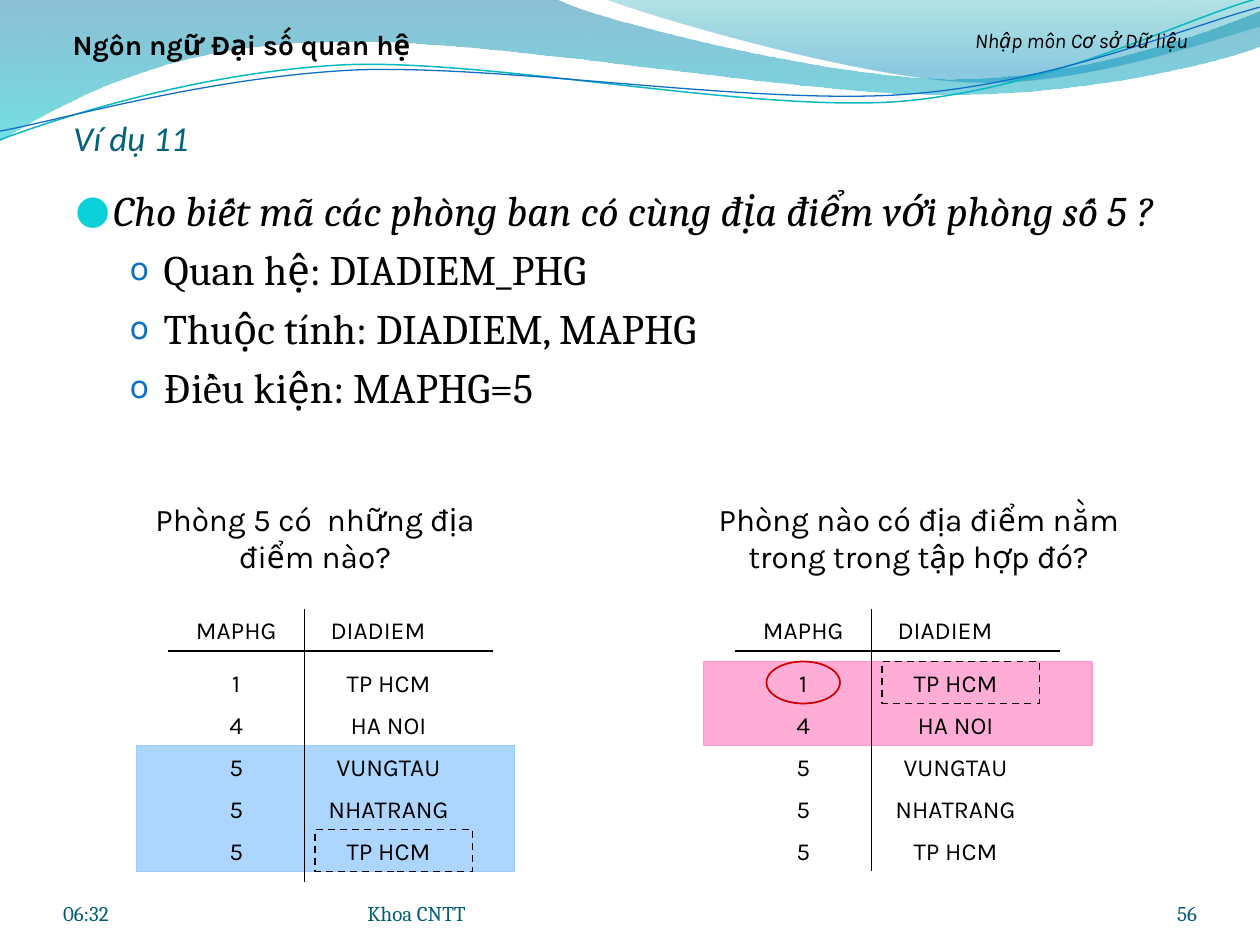
from lxml import etree
from pptx import Presentation
from pptx import util as u
from pptx.dml import color as dml
from pptx.enum import dml as lines, shapes, text
from pptx.oxml import ns

COLORS = {
    "ink": "000000", "title": "04617B", "footer": "045D75",
    "teal": "0BD0D9", "blue": "0F6FC6", "wave_line": "0AB8BF",
    "deep": "0074A1", "aqua": "00C6CF", "sea": "00A1A9", "sky": "008BBF",
    "pink": "FF99CC", "pale_blue": "99CCFF", "red": "CC0000",
}
HEADERS = ("MAPHG", "DIADIEM")
LOCATIONS = [("1", "TP HCM"), ("4", "HA NOI"), ("5", "VUNGTAU"),
             ("5", "NHATRANG"), ("5", "TP HCM")]
ROW = 24
HEAD_TOP, BODY_TOP = 348, 378
CODE_WIDTH, HEADER_WIDTH, PLACE_WIDTH = 78, 84, 96

BACK_WAVE = [(0, -1), (317, -1), (343, 12, 478, 45, 546, 45),
             (614, 45, 690, 19, 720, 6), (721, 26),
             (708, 32, 626, 55, 537, 54), (448, 54, 275, 20, 185, 24),
             (93, 25, 33, 60, -1, 81)]
FRONT_WAVE = [(345, -1), (367, 8, 491, 45, 554, 47),
              (616, 50, 692, 23, 720, 15), (720, 0)]
UPPER_CURVE = [(-1.8, 63), (33.8, 51.7, 114, 29.4, 199, 29.4),
               (284, 30.5, 426, 67.2, 512, 65.3), (599.5, 62.4, 676.4, 25.9, 721, 16)]
LOWER_CURVE = [(-1.5, 58), (32.7, 53.6, 118, 32.6, 204, 32.6),
               (290, 33.7, 429, 63.3, 515.5, 61.4), (601.7, 59.4, 679.3, 30, 721.8, 21)]


def rgb(name):
    return dml.RGBColor.from_string(COLORS[name])


def add_child(parent, tag, **attributes):
    return etree.SubElement(parent, ns.qn(tag), attributes)


def set_opacity(shape, percents):
    for hue, percent in zip(shape.element.spPr.iter(ns.qn("a:srgbClr")), percents):
        add_child(hue, "a:alpha", val=str(percent * 1000))


def style_line(line, color, width=1):
    line.color.rgb = rgb(color)
    line.width = u.Pt(width)


def bend(outline, steps):
    segments = iter(list(outline.element.spPr.iter(ns.qn("a:lnTo"))))
    for step in steps[1:]:
        first = next(segments)
        if len(step) == 2:
            continue
        first.tag
        curve = etree.Element(ns.qn("a:cubicBezTo"))
        first.addprevious(curve)
        for segment in (first, next(segments), next(segments)):
            curve.append(segment[0])
            segment.getparent().remove(segment)


def add_outline(slide, steps, close):
    points = [(u.Pt(x), u.Pt(y)) for step in steps
              for x, y in zip(step[::2], step[1::2])]
    builder = slide.shapes.build_freeform(*points[0])
    builder.add_line_segments(points[1:], close=close)
    outline = builder.convert_to_shape()
    bend(outline, steps)
    outline.shadow.inherit = False
    return outline


def add_wave(slide, steps, stops):
    wave = add_outline(slide, steps, True)
    wave.line.fill.background()
    wave.fill.gradient()
    wave.fill.gradient_angle = 270
    for stop, (position, color, _) in zip(wave.fill.gradient_stops, stops):
        stop.position = position
        stop.color.rgb = rgb(color)
    set_opacity(wave, [percent for _, _, percent in stops])


def add_curve(slide, steps, color, width):
    curve = add_outline(slide, steps, False)
    curve.rotation = 357.3
    curve.fill.background()
    style_line(curve.line, color, width)


def format_run(run, size, name="Karla", color="ink", bold=False, italic=False):
    formats = {"size": u.Pt(size), "name": name, "bold": bold, "italic": italic}
    for attribute, value in formats.items():
        setattr(run.font, attribute, value)
    run.font.color.rgb = rgb(color)


def add_frame(slide, box, anchor=text.MSO_ANCHOR.TOP, margins=(7.2, 3.6, 7.2, 3.6)):
    frame = slide.shapes.add_textbox(*map(u.Pt, box)).text_frame
    left, top, right, bottom = map(u.Pt, margins)
    formats = {"word_wrap": True, "vertical_anchor": anchor, "margin_left": left,
               "margin_top": top, "margin_right": right, "margin_bottom": bottom}
    for attribute, value in formats.items():
        setattr(frame, attribute, value)
    return frame


def add_label(slide, words, box, size, align=text.PP_ALIGN.CENTER, frame_format=None, **font):
    paragraph = add_frame(slide, box, **(frame_format or {})).paragraphs[0]
    paragraph.alignment = align
    run = paragraph.add_run()
    run.text = words
    format_run(run, size, **font)


def add_bullet(paragraph, words, level):
    indent, hanging, mark, color, scale = [
        (21.6, 21.6, "●", "teal", 95), (50.4, 19.44, "o", "blue", 85)][level]
    paragraph.level = level
    paragraph.space_before = u.Pt(4.8)
    run = paragraph.add_run()
    run.text = words
    format_run(run, 24, name="Cambria", italic=level == 0)
    properties = paragraph._p.get_or_add_pPr()
    properties.set("marL", str(u.Pt(indent)))
    properties.set("indent", str(-u.Pt(hanging)))
    add_child(add_child(properties, "a:buClr"), "a:srgbClr", val=COLORS[color])
    add_child(properties, "a:buSzPct", val=str(scale * 1000))
    add_child(properties, "a:buFont", typeface="Karla")
    add_child(properties, "a:buChar", char=mark)


def add_rule(slide, *ends):
    rule = slide.shapes.add_connector(shapes.MSO_CONNECTOR.STRAIGHT, *map(u.Pt, ends))
    style_line(rule.line, "ink")
    add_child(rule.element.spPr, "a:effectLst")


def add_band(slide, box, color):
    band = slide.shapes.add_shape(shapes.MSO_SHAPE.RECTANGLE, *map(u.Pt, box))
    band.shadow.inherit = False
    band.fill.solid()
    band.fill.fore_color.rgb = rgb(color)
    set_opacity(band, [80])
    style_line(band.line, color)


def add_marker(slide, kind, box, color, dash=None):
    marker = slide.shapes.add_shape(kind, *map(u.Pt, box))
    marker.shadow.inherit = False
    marker.fill.background()
    style_line(marker.line, color)
    marker.line.dash_style = dash


def add_relation(slide, left, bottom):
    middle = left + CODE_WIDTH
    add_rule(slide, left, HEAD_TOP + ROW, left + 186, HEAD_TOP + ROW)
    add_rule(slide, middle, HEAD_TOP, middle, bottom)
    rows = [(HEAD_TOP, HEADERS, HEADER_WIDTH)]
    rows += [(BODY_TOP + i * ROW, location, PLACE_WIDTH)
             for i, location in enumerate(LOCATIONS)]
    for top, (code, place), width in rows:
        add_label(slide, code, (left, top, CODE_WIDTH, ROW), 14)
        add_label(slide, place, (middle, top, width, ROW), 14)


def main():
    deck = Presentation()
    deck.slide_width, deck.slide_height = u.Pt(720), u.Pt(540)
    slide = deck.slides.add_slide(deck.slide_layouts[6])

    add_wave(slide, BACK_WAVE, [(0, "deep", 45), (1, "aqua", 55)])
    add_wave(slide, FRONT_WAVE, [(0, "sea", 30), (0.8, "sky", 45)])
    add_curve(slide, UPPER_CURVE, "wave_line", 0.85)
    add_curve(slide, LOWER_CURVE, "blue", 0.75)

    bottom = text.MSO_ANCHOR.BOTTOM
    left, right = text.PP_ALIGN.LEFT, text.PP_ALIGN.RIGHT
    add_label(slide, "Ví dụ 11", (42, 54, 648, 36.5), 20, left,
              {"anchor": bottom, "margins": (0, 3.6, 0, 0)},
              name="Calibri", color="title", italic=True)

    question = add_frame(slide, (36, 102, 666, 408))
    points = [("Cho biết mã các phòng ban có cùng địa điểm với phòng số 5 ?", 0),
              ("Quan hệ: DIADIEM_PHG", 1),
              ("Thuộc tính: DIADIEM, MAPHG", 1),
              ("Điều kiện: MAPHG=5", 1)]
    for i, (words, level) in enumerate(points):
        paragraph = question.add_paragraph() if i else question.paragraphs[0]
        add_bullet(paragraph, words, level)

    add_label(slide, "Phòng 5 có  những địa điểm nào?", (60, 282, 240, 50), 18)
    add_label(slide, "Phòng nào có địa điểm nằm trong trong tập hợp đó?",
              (384, 282, 282, 50), 18)

    add_band(slide, (402, BODY_TOP, 222, 2 * ROW), "pink")
    add_relation(slide, 420, 498)
    add_band(slide, (78, BODY_TOP + 2 * ROW, 216, 3 * ROW), "pale_blue")
    add_relation(slide, 96, 504)

    add_marker(slide, shapes.MSO_SHAPE.OVAL, (438, BODY_TOP, 42, ROW), "red")
    for x, row in ((180, 4), (504, 0)):
        add_marker(slide, shapes.MSO_SHAPE.RECTANGLE, (x, BODY_TOP + row * ROW, 90, ROW),
                   "ink", lines.MSO_LINE.DASH)

    for words, x, width, align in (("06:32", 36, 168, left), ("Khoa CNTT", 210, 264, left),
                                   ("56", 624, 60, right)):
        add_label(slide, words, (x, 500.5, width, 28.5), 12, align,
                  {"anchor": bottom, "margins": (0, 0, 0, 0)},
                  name="Cambria", color="footer")

    add_label(slide, "Nhập môn Cơ sở Dữ liệu", (516, 12, 204, 27), 12, italic=True)
    add_label(slide, "Ngôn ngữ Đại số quan hệ", (18, 12, 240, 27), 16, bold=True)
    deck.save("out.pptx")


if __name__ == "__main__":
    main()
